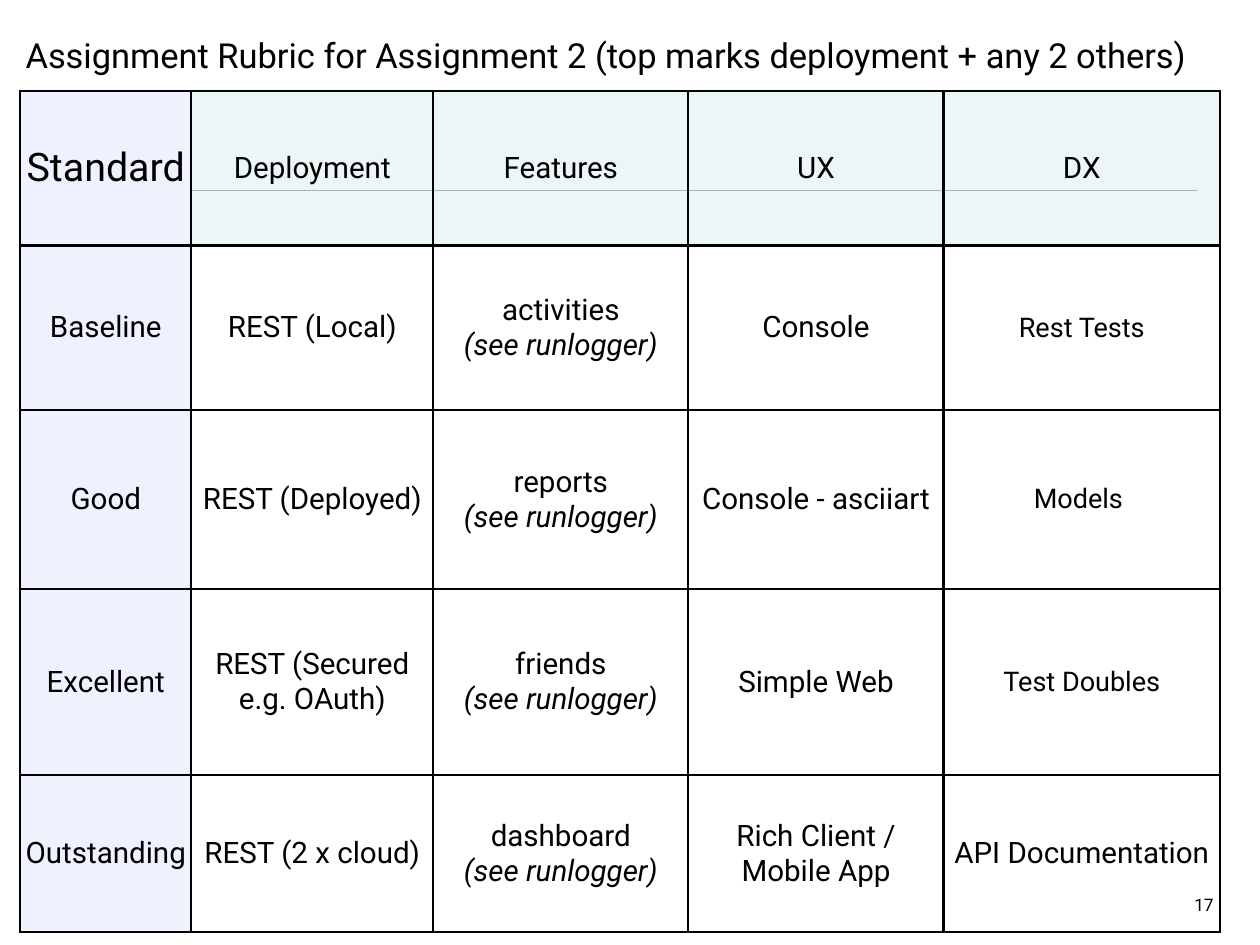
from lxml.etree import SubElement
from pptx import Presentation
from pptx.dml.color import RGBColor
from pptx.enum.shapes import MSO_CONNECTOR
from pptx.enum.text import MSO_ANCHOR, PP_ALIGN
from pptx.oxml import parse_xml
from pptx.oxml.ns import nsdecls, qn
from pptx.util import Pt

BLACK = RGBColor(0x00, 0x00, 0x00)
WHITE = RGBColor(0xFF, 0xFF, 0xFF)
GREY = RGBColor(0x9A, 0x9A, 0x9A)
LAVENDER = RGBColor(0xF0, 0xF1, 0xFF)
TEAL = RGBColor(0xC9, 0xE5, 0xE5)

INSET = Pt(4.32)
MARGINS = {f"margin_{side}": INSET for side in ("left", "right", "top", "bottom")}
FONT = {"name": "Roboto", "italic": False}
SEE = "(see runlogger)"

COLUMNS = [139, 196.6, 207.4, 207.4, 224.6]
HEIGHTS = [125.3, 133.9, 145.4, 151.2, 127.5]
RUBRIC = [
    ["Standard", "Deployment", "Features", "UX", "DX"],
    ["Baseline", "REST (Local)", f"activities\n{SEE}", "Console", "Rest Tests"],
    ["Good", "REST (Deployed)", f"reports\n{SEE}", "Console - asciiart", "Models "],
    ["Excellent", "REST (Secured e.g. OAuth)", f"friends\n{SEE}", "Simple Web", "Test Doubles"],
    ["Outstanding", "REST (2 x cloud)", f"dashboard\n{SEE}", "Rich Client / Mobile App",
     "API Documentation"],
]
SIZES = {"Standard": 32, "Rest Tests": 22, "Models ": 22, "Test Doubles": 22}


def write(tf, text, size, align):
    for i, line in enumerate(text.split("\n")):
        p = tf.paragraphs[0] if i == 0 else tf.add_paragraph()
        p.alignment = align
        r = p.add_run()
        r.text = line
        for name, value in {**FONT, "size": Pt(size), "italic": line == SEE}.items():
            setattr(r.font, name, value)
        r.font.color.rgb = BLACK


def add_text(s, box, text, size, align, **frame):
    sp = s.shapes.add_textbox(*map(Pt, box))
    tf = sp.text_frame
    for name, value in {**MARGINS, **frame}.items():
        setattr(tf, name, value)
    write(tf, text, size, align)
    return tf


prs = Presentation()
prs.slide_width, prs.slide_height = Pt(1024), Pt(768)
s = prs.slides.add_slide(prs.slide_layouts[6])
s.background.fill.solid()
s.background.fill.fore_color.rgb = WHITE

# Rule behind the header row
rule = s.shapes.add_connector(MSO_CONNECTOR.STRAIGHT, Pt(51), Pt(154.8), Pt(973), Pt(154.8))
rule.line.color.rgb = GREY
rule.line.width = Pt(1)
SubElement(rule._element.spPr, qn("a:effectLst"))

# Title
add_text(s, (16.5, -28.8, 991, 94.3),
         "Assignment Rubric for Assignment 2 (top marks deployment + any 2 others)",
         28, PP_ALIGN.LEFT, word_wrap=True, vertical_anchor=MSO_ANCHOR.BOTTOM)

# Rubric table
frame = s.shapes.add_table(len(HEIGHTS), len(COLUMNS), Pt(16.5), Pt(74.2),
                           Pt(sum(COLUMNS)), Pt(sum(HEIGHTS)))
table = frame.table
table.first_row = table.horz_banding = False
for column, width in zip(table.columns, COLUMNS):
    column.width = Pt(width)
for row, height in zip(table.rows, HEIGHTS):
    row.height = Pt(height)

for i, row in enumerate(RUBRIC):
    for j, text in enumerate(row):
        cell = table.cell(i, j)
        for name, value in {**MARGINS, "vertical_anchor": MSO_ANCHOR.MIDDLE}.items():
            setattr(cell, name, value)
        write(cell.text_frame, text, SIZES.get(text, 24), PP_ALIGN.CENTER)

        # Borders come before the fill in the cell properties
        tcPr = cell._tc.get_or_add_tcPr()
        for edge in ("lnL", "lnR", "lnT", "lnB"):
            tcPr.append(parse_xml(
                f'<a:{edge} {nsdecls("a")} w="{Pt(2)}"><a:solidFill>'
                f'<a:srgbClr val="{BLACK}"/></a:solidFill></a:{edge}>'))

        # First column lavender, header row translucent teal
        if i and j and (i, j) not in ((1, 2), (1, 3)):
            cell.fill.background()
            continue
        cell.fill.solid()
        cell.fill.fore_color.rgb = LAVENDER if j == 0 else TEAL if i == 0 else WHITE
        if i == 0 and j:
            color = tcPr.find(qn("a:solidFill")).find(qn("a:srgbClr"))
            SubElement(color, qn("a:alpha")).set("val", "34000")

# Slide number
tf = add_text(s, (966.2, 724.3, 24.5, 23.8), "17", 14, PP_ALIGN.RIGHT, word_wrap=False)
tf.paragraphs[0].line_spacing = 0.9

prs.save("out.pptx")
